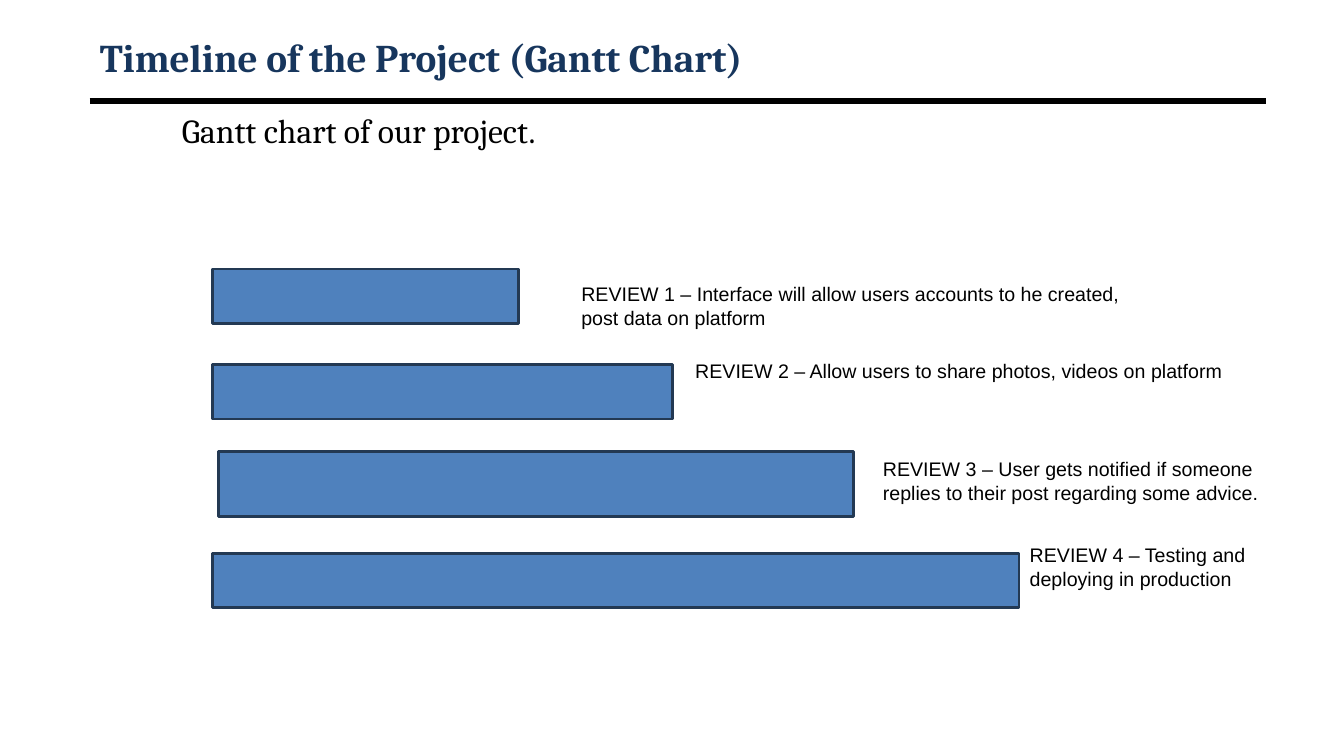
from lxml.etree import SubElement
from pptx import Presentation
from pptx.dml.color import RGBColor
from pptx.enum.shapes import MSO_CONNECTOR, MSO_SHAPE
from pptx.enum.text import MSO_ANCHOR, MSO_AUTO_SIZE, PP_ALIGN
from pptx.oxml.ns import qn
from pptx.util import Cm, Pt

COLOURS = {
    "heading": "17365D",
    "text": "000000",
    "rule": "000000",
    "bar": "4F81BD",
    "bar_edge": "233953",
}
FONTS = {
    "heading": {"name": "Cambria", "size": Pt(28), "bold": True},
    "intro": {"name": "Cambria", "size": Pt(24), "bold": False},
    "label": {"name": "Arial", "size": Pt(14), "bold": False},
}
FRAMES = {
    "heading": {"word_wrap": True, "auto_size": MSO_AUTO_SIZE.NONE,
                "vertical_anchor": MSO_ANCHOR.MIDDLE},
    "intro": {"word_wrap": True, "auto_size": MSO_AUTO_SIZE.NONE,
              "vertical_anchor": MSO_ANCHOR.TOP},
    "label": {"word_wrap": True, "auto_size": MSO_AUTO_SIZE.SHAPE_TO_FIT_TEXT,
              "vertical_anchor": MSO_ANCHOR.TOP},
}
PARAGRAPHS = {
    "heading": {"alignment": PP_ALIGN.LEFT},
    "intro": {"alignment": PP_ALIGN.JUSTIFY, "space_before": Pt(0)},
    "label": {"alignment": PP_ALIGN.LEFT},
}
REVIEWS = [
    ((5.36, 6.78, 7.7, 1.37), (14.4, 6.99, 14.12, 1.45),
     "REVIEW 1 – Interface will allow users accounts to he created, post data on platform"),
    ((5.36, 9.19, 11.58, 1.37), (17.27, 8.92, 14.12, 0.86),
     "REVIEW 2 – Allow users to share photos, videos on platform"),
    ((5.51, 11.38, 16, 1.63), (22, 11.4, 10.29, 1.45),
     "REVIEW 3 – User gets notified if someone replies to their post regarding some advice."),
    ((5.36, 13.94, 20.32, 1.37), (25.7, 13.56, 7.04, 1.45),
     "REVIEW 4 – Testing and deploying in production"),
]


def apply(target, values):
    for attribute, value in values.items():
        setattr(target, attribute, value)


def lengths(values):
    return [Cm(value) for value in values]


class GanttSlide:
    def __init__(self, deck):
        self.slide = deck.slides.add_slide(deck.slide_layouts[1])

    def colour(self, name):
        return RGBColor.from_string(COLOURS[name])

    def set_wording(self, holder, wording, style, colour):
        frame = holder.text_frame
        frame.text = wording
        apply(frame, FRAMES[style])
        paragraph = frame.paragraphs[0]
        apply(paragraph, PARAGRAPHS[style])
        font = paragraph.runs[0].font
        apply(font, FONTS[style])
        font.color.rgb = self.colour(colour)
        return paragraph

    def place(self, holder, box):
        apply(holder, dict(zip(("left", "top", "width", "height"), lengths(box))))

    def heading(self, wording, box):
        title = self.slide.shapes.title
        self.place(title, box)
        self.set_wording(title, wording, "heading", "heading")

    def intro(self, wording, box):
        body = self.slide.placeholders[1]
        self.place(body, box)
        paragraph = self.set_wording(body, wording, "intro", "text")
        properties = paragraph._p.get_or_add_pPr()
        properties.set("marL", str(Cm(0.97)))
        properties.set("indent", str(Cm(-0.53)))
        SubElement(properties, qn("a:buNone"))

    def rule(self, start, end):
        rule = self.slide.shapes.add_connector(
            MSO_CONNECTOR.STRAIGHT, *lengths(start + end))
        rule.line.color.rgb = self.colour("rule")
        rule.line.width = Pt(4.5)
        SubElement(rule._element.spPr, qn("a:effectLst"))

    def bar(self, box):
        bar = self.slide.shapes.add_shape(MSO_SHAPE.RECTANGLE, *lengths(box))
        bar.shadow.inherit = False
        bar.fill.solid()
        bar.fill.fore_color.rgb = self.colour("bar")
        bar.line.color.rgb = self.colour("bar_edge")
        bar.line.width = Pt(2)

    def label(self, wording, box):
        label = self.slide.shapes.add_textbox(*lengths(box))
        self.set_wording(label, wording, "label", "text")


def main():
    deck = Presentation()
    apply(deck, {"slide_width": Cm(33.87), "slide_height": Cm(19.05)})
    timeline = GanttSlide(deck)
    timeline.rule((2.26, 2.54), (31.9, 2.54))
    timeline.heading("Timeline of the Project (Gantt Chart)", (2.26, 0.76, 29.64, 1.35))
    timeline.intro("Gantt chart of our project.", (3.89, 2.64, 29.64, 13.77))
    for bar_box, label_box, wording in REVIEWS:
        timeline.bar(bar_box)
        timeline.label(wording, label_box)
    deck.save("out.pptx")


if __name__ == "__main__":
    main()
